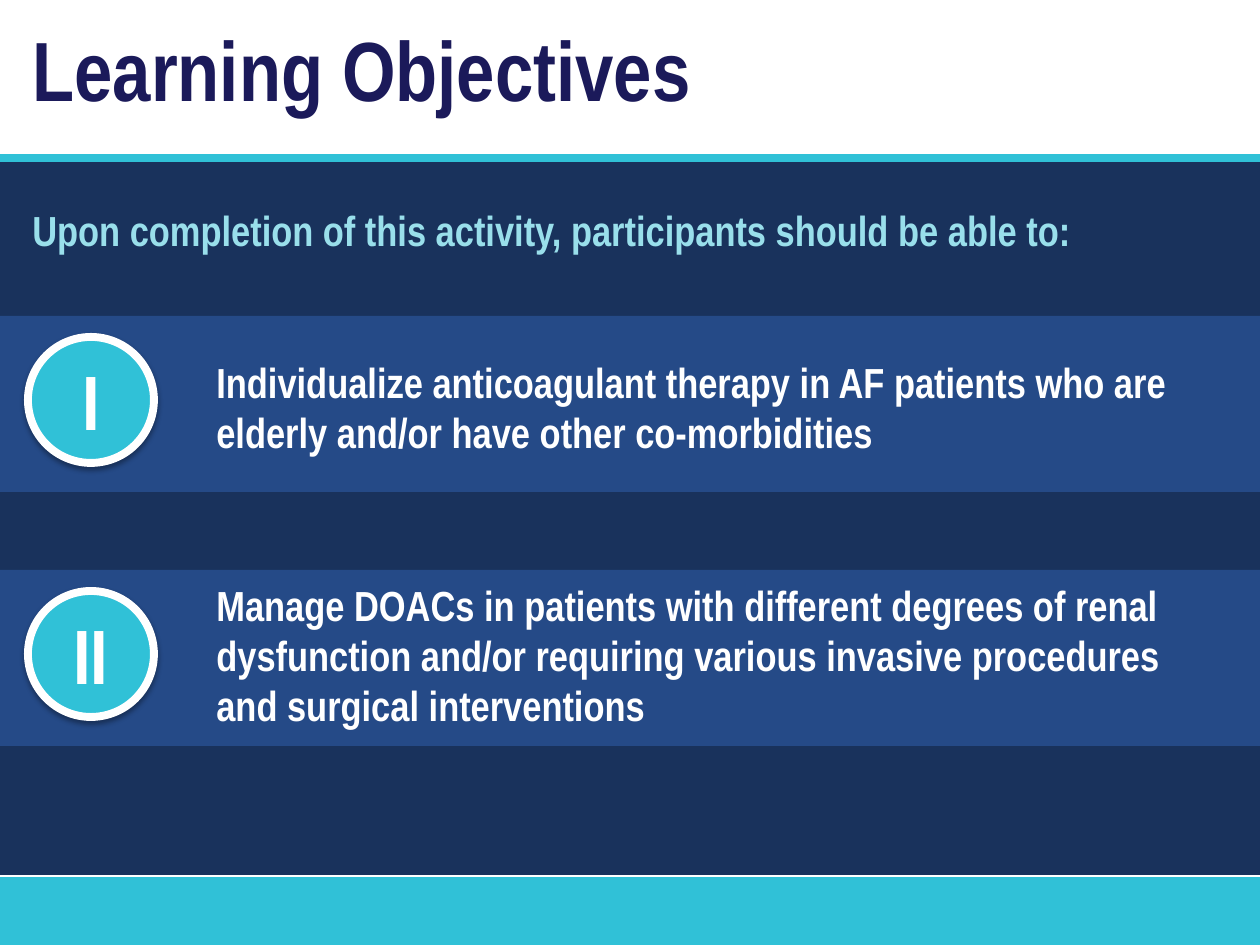
from lxml.etree import SubElement
from pptx import Presentation
from pptx.dml.color import RGBColor
from pptx.enum.shapes import MSO_CONNECTOR, MSO_SHAPE
from pptx.enum.text import MSO_ANCHOR, PP_ALIGN
from pptx.oxml.ns import qn
from pptx.util import Pt

EMU_PER_PX = 914400 // 126
WIDTH, HEIGHT = 1260, 945
FONT = "Arial Narrow"
NAVY, BLUE, CYAN, WHITE = "19325C", "254A87", "30C1D7", "FFFFFF"
BAND_HEIGHT = 176
OBJECTIVES = [
    ("I", "Individualize anticoagulant therapy in AF patients who are "
          "elderly and/or have other co-morbidities", 316, 34, 115),
    ("II", "Manage DOACs in patients with different degrees of renal "
           "dysfunction and/or requiring various invasive procedures "
           "and surgical interventions", 570, 3, 165),
]


def px(value):
    return value * EMU_PER_PX


def color(value):
    return RGBColor.from_string(value)


def add_shadow(shape):
    effects = shape._element.spPr.find(qn("a:effectLst"))
    shadow = SubElement(effects, qn("a:outerShdw"), blurRad=str(Pt(3.1)),
                        dist=str(Pt(1.8)), dir="5400000", rotWithShape="0")
    shade = SubElement(shadow, qn("a:srgbClr"), val="000000")
    SubElement(shade, qn("a:alpha"), val="35000")


def add_filled(slide, kind, left, top, width, height, fill):
    shape = slide.shapes.add_shape(kind, px(left), px(top), px(width), px(height))
    shape.shadow.inherit = False
    shape.fill.solid()
    shape.fill.fore_color.rgb = color(fill)
    shape.line.fill.background()
    return shape


def add_rule(slide, top, line_color, weight):
    rule = slide.shapes.add_connector(MSO_CONNECTOR.STRAIGHT, 0, px(top), px(WIDTH), px(top))
    rule.line.color.rgb = color(line_color)
    rule.line.width = Pt(weight)
    SubElement(rule._element.spPr, qn("a:effectLst"))


def write(shape, text, size, text_color, anchor=MSO_ANCHOR.TOP, alignment=PP_ALIGN.LEFT):
    frame = shape.text_frame
    frame.text = text
    frame.word_wrap = True
    frame.vertical_anchor = anchor
    paragraph = frame.paragraphs[0]
    paragraph.alignment = alignment
    paragraph.line_spacing = 1.0
    paragraph.space_before = Pt(0)
    font = paragraph.font
    font.name, font.size, font.bold = FONT, Pt(size), True
    font.color.rgb = color(text_color)


def add_text(slide, left, top, width, height, text, text_color):
    box = slide.shapes.add_textbox(px(left), px(top), px(width), px(height))
    write(box, text, 24, text_color)


def add_background(slide, top, footer_top):
    add_filled(slide, MSO_SHAPE.RECTANGLE, 0, top, WIDTH, footer_top - top, NAVY)
    footer = add_filled(slide, MSO_SHAPE.RECTANGLE, 0, footer_top, WIDTH,
                        HEIGHT - footer_top, CYAN)
    add_shadow(footer)
    add_rule(slide, top - 1, CYAN, 4.5)
    add_rule(slide, footer_top - 1, WHITE, 1.5)


def add_heading(slide, left, top, width, height):
    title = slide.shapes.title
    title.left, title.top = px(left), px(top)
    title.width, title.height = px(width), px(height)
    write(title, "Learning Objectives", 48, "1B1A5A")


def add_objective(slide, numeral, text, top, text_offset, text_height):
    add_filled(slide, MSO_SHAPE.RECTANGLE, 0, top, WIDTH, BAND_HEIGHT, BLUE)
    badge = add_filled(slide, MSO_SHAPE.FLOWCHART_CONNECTOR, 28, top + 21, 126, 126, CYAN)
    badge.line.color.rgb = color(WHITE)
    badge.line.width = Pt(4.5)
    add_shadow(badge)
    write(badge, numeral, 44, WHITE, MSO_ANCHOR.MIDDLE, PP_ALIGN.CENTER)
    add_text(slide, 204, top + text_offset, 997, text_height, text, WHITE)


def main():
    presentation = Presentation()
    presentation.slide_width = px(WIDTH)
    presentation.slide_height = px(HEIGHT)
    slide = presentation.slides.add_slide(presentation.slide_layouts[5])
    add_background(slide, 159, 877)
    add_heading(slide, 20, 11, 1111, 115)
    add_text(slide, 20, 198, 1196, 76,
             "Upon completion of this activity, participants should be able to:", "99DFEB")
    for objective in OBJECTIVES:
        add_objective(slide, *objective)
    presentation.save("out.pptx")


if __name__ == "__main__":
    main()
